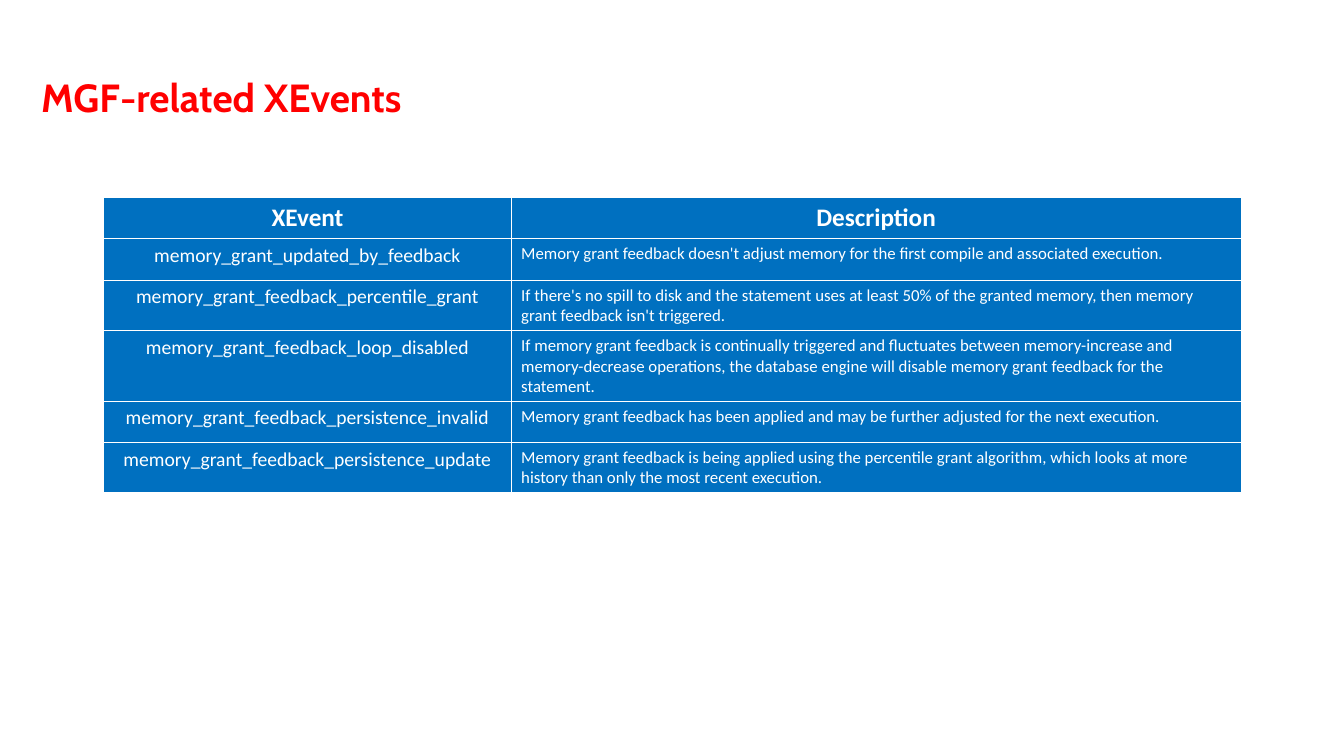
from lxml.etree import SubElement
from pptx import Presentation
from pptx.dml.color import RGBColor
from pptx.enum.text import MSO_ANCHOR, PP_ALIGN
from pptx.oxml.ns import qn
from pptx.util import Inches, Pt

RED, BLUE, WHITE = "FF0000", "0070C0", "FFFFFF"
COLUMN_WIDTHS = (4.04, 7.24)
ROW_HEIGHT = 0.41

HEADINGS = ("XEvent", "Description")
EVENTS = (
    ("memory_grant_updated_by_feedback",
     "Memory grant feedback doesn't adjust memory for the first compile "
     "and associated execution."),
    ("memory_grant_feedback_percentile_grant",
     "If there's no spill to disk and the statement uses at least 50% of the "
     "granted memory, then memory grant feedback isn't triggered."),
    ("memory_grant_feedback_loop_disabled",
     "If memory grant feedback is continually triggered and fluctuates between "
     "memory-increase and memory-decrease operations, the database engine will "
     "disable memory grant feedback for the statement."),
    ("memory_grant_feedback_persistence_invalid",
     "Memory grant feedback has been applied and may be further adjusted "
     "for the next execution."),
    ("memory_grant_feedback_persistence_update",
     "Memory grant feedback is being applied using the percentile grant algorithm, "
     "which looks at more history than only the most recent execution."),
)


def color(value):
    return RGBColor.from_string(value)


def write(frame, text, *, size, font="Calibri", fill=WHITE, bold=False,
          align=PP_ALIGN.LEFT):
    frame.word_wrap = True
    paragraph = frame.paragraphs[0]
    paragraph.alignment = align
    run = paragraph.add_run()
    run.text = text
    run.font.name = font
    run.font.size = Pt(size)
    run.font.bold = bold
    run.font.color.rgb = color(fill)


def add_title(slide, text):
    box = slide.shapes.add_textbox(Inches(0.31), Inches(0.68), Inches(8.76), Inches(0.57))
    write(box.text_frame, text, size=28, font="Cabin", fill=RED, bold=True)


def paint_cell(cell):
    """Give the cell thin white borders and a blue fill."""
    properties = cell._tc.get_or_add_tcPr()
    for side in ("a:lnL", "a:lnR", "a:lnT", "a:lnB"):
        line = SubElement(properties, qn(side), w=str(Pt(1)))
        SubElement(SubElement(line, qn("a:solidFill")), qn("a:srgbClr"), val=WHITE)
    cell.fill.solid()
    cell.fill.fore_color.rgb = color(BLUE)
    cell.vertical_anchor = MSO_ANCHOR.TOP


def add_event_table(slide, headings, events):
    rows = (headings, *events)
    table = slide.shapes.add_table(
        len(rows), len(headings), Inches(1.03), Inches(1.96),
        Inches(sum(COLUMN_WIDTHS)), Inches(ROW_HEIGHT * len(rows))).table
    for column, width in zip(table.columns, COLUMN_WIDTHS):
        column.width = Inches(width)

    heading_style = dict(size=18, bold=True, align=PP_ALIGN.CENTER)
    event_styles = (dict(size=14, align=PP_ALIGN.CENTER), dict(size=12))
    for row_index, texts in enumerate(rows):
        table.rows[row_index].height = Inches(ROW_HEIGHT)
        for column_index, text in enumerate(texts):
            cell = table.cell(row_index, column_index)
            paint_cell(cell)
            style = event_styles[column_index] if row_index else heading_style
            write(cell.text_frame, text, **style)


def main():
    deck = Presentation()
    deck.slide_width, deck.slide_height = Inches(13.33), Inches(7.5)
    slide = deck.slides.add_slide(deck.slide_layouts[6])
    add_title(slide, "MGF-related XEvents")
    add_event_table(slide, HEADINGS, EVENTS)
    deck.save("out.pptx")


if __name__ == "__main__":
    main()
